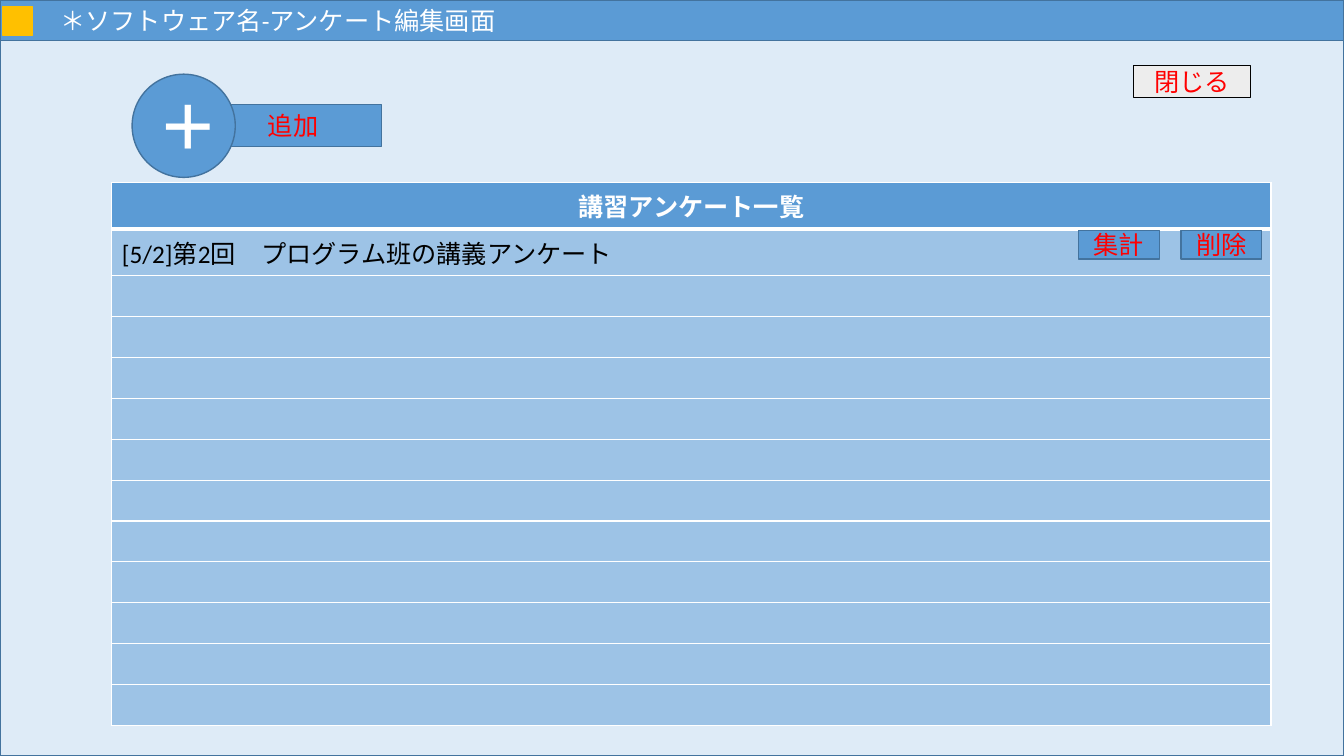
import pptx
import pptx.util
import pptx.dml.color
import pptx.enum.shapes
import pptx.enum.text
import pptx.oxml
import pptx.oxml.ns

Cm, Pt = pptx.util.Cm, pptx.util.Pt
KIND = pptx.enum.shapes.MSO_SHAPE
ALIGN = pptx.enum.text.PP_ALIGN
ANCHOR = pptx.enum.text.MSO_ANCHOR
BLUE, EDGE, PALE = "5B9BD5", "43739E", "9DC3E6"
WHITE, RED, GOLD = "FFFFFF", "FF0000", "FFC000"


def paint(part, color):
    """Set a solid colour on a fill."""
    part.solid()
    part.fore_color.rgb = pptx.dml.color.RGBColor.from_string(color)


def write(frame, text, align, color, size=18, bold=False):
    """Put one line of styled text into a text frame."""
    line = frame.paragraphs[0]
    line.alignment = align
    run = line.add_run()
    run.text = text
    style = {"name": "Calibri", "size": Pt(size), "bold": bold}
    for key, value in style.items():
        setattr(run.font, key, value)
    paint(run.font.fill, color)


deck = pptx.Presentation()
deck.slide_width, deck.slide_height = Cm(33.87), Cm(19.05)
slide = deck.slides.add_slide(deck.slide_layouts[6])

# Survey table
heads = ["講習アンケート一覧", "[5/2]第2回　プログラム班の講義アンケート"]
count = 13
grid = slide.shapes.add_table(count, 1, Cm(2.82), Cm(4.6), Cm(29.21), Cm(13.39))
table = grid.table
for row in range(count):
    table.rows[row].height = Cm(1.03 if row else 0.64)
    cell = table.cell(row, 0)
    props = cell._tc.get_or_add_tcPr()
    for side in "LRTB":
        thick = (side == "B" and row == 0) or (side == "T" and row == 1)
        width = Pt(3 if thick else 1)
        props.append(pptx.oxml.parse_xml(
            f'<a:ln{side} {pptx.oxml.ns.nsdecls("a")} w="{width}"><a:solidFill>'
            f'<a:srgbClr val="{WHITE}"/></a:solidFill></a:ln{side}>'))
    paint(cell.fill, PALE if row else BLUE)
    if row == 0:
        write(cell.text_frame, heads[row], ALIGN.CENTER, WHITE, bold=True)
    elif row < len(heads):
        write(cell.text_frame, heads[row], ALIGN.LEFT, "000000")

# Window, bars and buttons: kind, box, fill, edge, text format
label = {"align": ALIGN.CENTER, "color": RED}
title = {"text": "＊ソフトウェア名-アンケート編集画面", "align": ALIGN.LEFT, "color": WHITE}
plus = {"text": "＋", "align": ALIGN.CENTER, "color": WHITE, "size": 44, "bold": True}
parts = [
    (KIND.RECTANGLE, (0, 0, 33.87, 19.05), "DEEBF7", EDGE, None),
    (KIND.RECTANGLE, (0, 0, 33.87, 1.02), BLUE, EDGE, title),
    (KIND.RECTANGLE, (0.08, 0.17, 0.74, 0.72), GOLD, GOLD, None),
    (KIND.RECTANGLE, (5.16, 2.64, 4.45, 1.05), BLUE, EDGE, {"text": "追加", **label}),
    (KIND.RECTANGLE, (28.57, 1.65, 2.95, 0.81), "EDEDED", "000000", {"text": "閉じる", **label}),
    (KIND.OVAL, (3.33, 1.87, 2.6, 2.6), BLUE, EDGE, plus),
    (KIND.RECTANGLE, (29.76, 5.81, 2.04, 0.72), BLUE, EDGE, {"text": "削除", **label}),
    (KIND.RECTANGLE, (27.18, 5.81, 2.04, 0.72), BLUE, EDGE, {"text": "集計", **label}),
]
for kind, box, fill, edge, words in parts:
    shape = slide.shapes.add_shape(kind, *map(Cm, box))
    shape.shadow.inherit = False
    paint(shape.fill, fill)
    paint(shape.line.fill, edge)
    shape.line.width = Pt(1)
    if words:
        frame = shape.text_frame
        frame.word_wrap = True
        frame.vertical_anchor = ANCHOR.MIDDLE
        if words is title:
            frame.margin_left = Cm(1.52)
        write(frame, **words)
    if kind == KIND.RECTANGLE and box[2:] == (33.87, 19.05):
        # The table lies in front of the window
        shape._element.addnext(grid._element)

deck.save("out.pptx")
